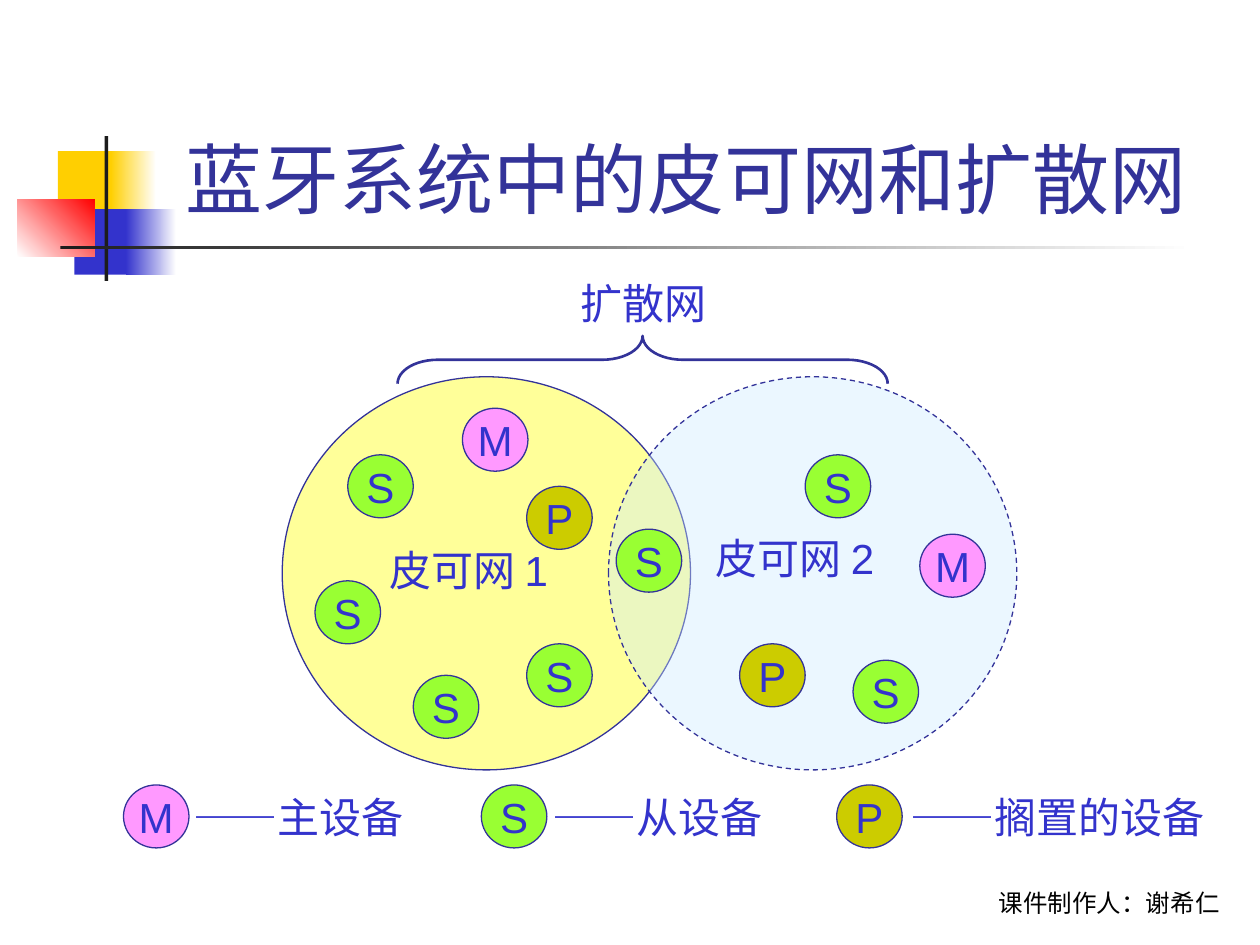
from dataclasses import dataclass

from lxml import etree
from pptx import Presentation
from pptx import util as u
from pptx.dml.color import RGBColor
from pptx.enum import dml, shapes, text
from pptx.oxml.ns import qn

COLORS = {
    "yellow": "FFCF01", "blue": "3333CC", "red": "FF0000", "black": "000000",
    "dark": "1C1C1C", "white": "FFFFFF", "navy": "333399", "pale_yellow": "FFFF99",
    "pale_blue": "CCECFF", "M": "FF99FF", "S": "99FF33", "P": "CCCC00",
}
DEVICE_WIDTH, DEVICE_HEIGHT = 0.52, 0.5
LEGEND_TOP = 6.23


@dataclass
class Block:
    left: float
    top: float
    width: float
    height: float
    start: str
    end: str = ""
    angle: int = 0


@dataclass
class Piconet:
    left: float
    color: str
    dashed: bool = False
    opacity: int = 100


@dataclass
class Device:
    left: float
    top: float
    role: str


@dataclass
class Label:
    left: float
    top: float
    width: float
    runs: list[tuple[str, str]]
    size: int = 24
    color: str = "blue"
    align: text.PP_ALIGN = text.PP_ALIGN.LEFT
    anchor: text.MSO_ANCHOR = text.MSO_ANCHOR.TOP


BLOCKS = [
    Block(0.46, 1.2, 0.48, 0.52, "yellow"),
    Block(0.88, 1.2, 0.36, 0.52, "yellow", "white"),
    Block(0.59, 1.66, 0.46, 0.52, "blue"),
    Block(1, 1.66, 0.4, 0.52, "blue", "white"),
    Block(0.14, 1.58, 0.61, 0.46, "white", "red", 45),
    Block(0.83, 1.08, 0.03, 1.15, "dark"),
    Block(0.48, 1.95, 9, 0.03, "dark", "white"),
]
PICONETS = [Piconet(2.24, "pale_yellow"), Piconet(4.83, "pale_blue", True, 39)]
DEVICES = [
    Device(3.67, 3.24, "M"), Device(7.3, 4.24, "M"),
    Device(2.5, 4.61, "S"), Device(2.76, 3.61, "S"),
    Device(5.87, 5.11, "P"), Device(4.89, 4.2, "S"),
    Device(4.18, 5.11, "S"), Device(3.28, 5.36, "S"),
    Device(6.77, 5.24, "S"), Device(6.39, 3.61, "S"),
    Device(4.18, 3.86, "P"),
    Device(0.98, LEGEND_TOP, "M"), Device(3.82, LEGEND_TOP, "S"),
    Device(6.64, LEGEND_TOP, "P"),
]
LABELS = [
    Label(5.58, 4.18, 1.54, [("皮可网 2", "Arial")]),
    Label(4.51, 2.15, 1.2, [("扩散网", "Arial")]),
    Label(2.99, 4.27, 1.54, [("皮可网 1", "Arial")]),
    Label(1.44, LEGEND_TOP, 1.86, [("——", "Arial"), ("主设备", "Karla")]),
    Label(4.29, LEGEND_TOP, 1.86, [("——", "Arial"), ("从设备", "Karla")]),
    Label(7.13, LEGEND_TOP, 2.53, [("——", "Arial"), ("搁置的设备", "Karla")]),
    Label(7.7, 6.83, 2.08, [("课件制作人：谢希仁", "Karla")], 14, "black",
          text.PP_ALIGN.RIGHT, text.MSO_ANCHOR.BOTTOM),
]


def rgb(name: str) -> RGBColor:
    return RGBColor.from_string(COLORS[name])


def apply(target, **values) -> None:
    for name, value in values.items():
        setattr(target, name, value)


def add_shape(slide, kind, left: float, top: float, width: float, height: float):
    shape = slide.shapes.add_shape(kind, *map(u.Inches, (left, top, width, height)))
    shape.shadow.inherit = False
    return shape


def outline(shape, width: float) -> None:
    shape.line.color.rgb = rgb("navy")
    shape.line.width = u.Pt(width)


def write(frame, runs: list[tuple[str, str]], size: int, color: str, align, **frame_format) -> None:
    apply(frame, auto_size=text.MSO_AUTO_SIZE.NONE, **frame_format)
    paragraph = frame.paragraphs[0]
    paragraph.alignment = align
    for content, font_name in runs:
        run = paragraph.add_run()
        run.text = content
        apply(run.font, name=font_name, size=u.Pt(size))
        run.font.color.rgb = rgb(color)


def draw_block(slide, block: Block) -> None:
    shape = add_shape(slide, shapes.MSO_SHAPE.RECTANGLE,
                      block.left, block.top, block.width, block.height)
    shape.line.fill.background()
    if block.end:
        shape.fill.gradient()
        shape.fill.gradient_angle = block.angle
        for stop, color, position in zip(shape.fill.gradient_stops, (block.start, block.end), (0, 1)):
            stop.color.rgb = rgb(color)
            stop.position = position
    else:
        shape.fill.solid()
        shape.fill.fore_color.rgb = rgb(block.start)


def draw_piconet(slide, piconet: Piconet) -> None:
    shape = add_shape(slide, shapes.MSO_SHAPE.OVAL, piconet.left, 2.99, 3.24, 3.12)
    shape.fill.solid()
    shape.fill.fore_color.rgb = rgb(piconet.color)
    outline(shape, 0.75)
    if piconet.dashed:
        shape.line.dash_style = dml.MSO_LINE.DASH
    if piconet.opacity < 100:
        color = shape.fill._xPr.find(qn("a:solidFill"))[0]
        etree.SubElement(color, qn("a:alpha"), val=str(piconet.opacity * 1000))


def draw_device(slide, device: Device) -> None:
    shape = add_shape(slide, shapes.MSO_SHAPE.OVAL,
                      device.left, device.top, DEVICE_WIDTH, DEVICE_HEIGHT)
    shape.fill.solid()
    shape.fill.fore_color.rgb = rgb(device.role)
    outline(shape, 0.75)
    write(shape.text_frame, [(device.role, "Arial")], 24, "blue", text.PP_ALIGN.CENTER,
          word_wrap=False, vertical_anchor=text.MSO_ANCHOR.MIDDLE)


def draw_label(slide, label: Label) -> None:
    box = slide.shapes.add_textbox(*map(u.Inches, (label.left, label.top, label.width, 0.5)))
    write(box.text_frame, label.runs, label.size, label.color, label.align,
          word_wrap=False, vertical_anchor=label.anchor)


def draw_brace(slide) -> None:
    brace = add_shape(slide, shapes.MSO_SHAPE.RIGHT_BRACE, 4.91, 0.91, 0.38, 3.89)
    brace.rotation = 270
    brace.adjustments[0] = 0.84
    brace.fill.background()
    outline(brace, 1.5)


def main() -> None:
    presentation = Presentation()
    apply(presentation, slide_width=u.Inches(10), slide_height=u.Inches(7.5))
    slide = presentation.slides.add_slide(presentation.slide_layouts[5])

    title = slide.shapes.title
    apply(title, left=u.Inches(1.26), top=u.Inches(0.23),
          width=u.Inches(8.52), height=u.Inches(1.6))
    write(title.text_frame, [("蓝牙系统中的皮可网和扩散网 ", "Arial")], 44, "navy",
          text.PP_ALIGN.CENTER, word_wrap=True, vertical_anchor=text.MSO_ANCHOR.BOTTOM)

    for draw, items in ((draw_block, BLOCKS), (draw_piconet, PICONETS),
                        (draw_device, DEVICES), (draw_label, LABELS)):
        for item in items:
            draw(slide, item)
    draw_brace(slide)
    presentation.save("out.pptx")


if __name__ == "__main__":
    main()
